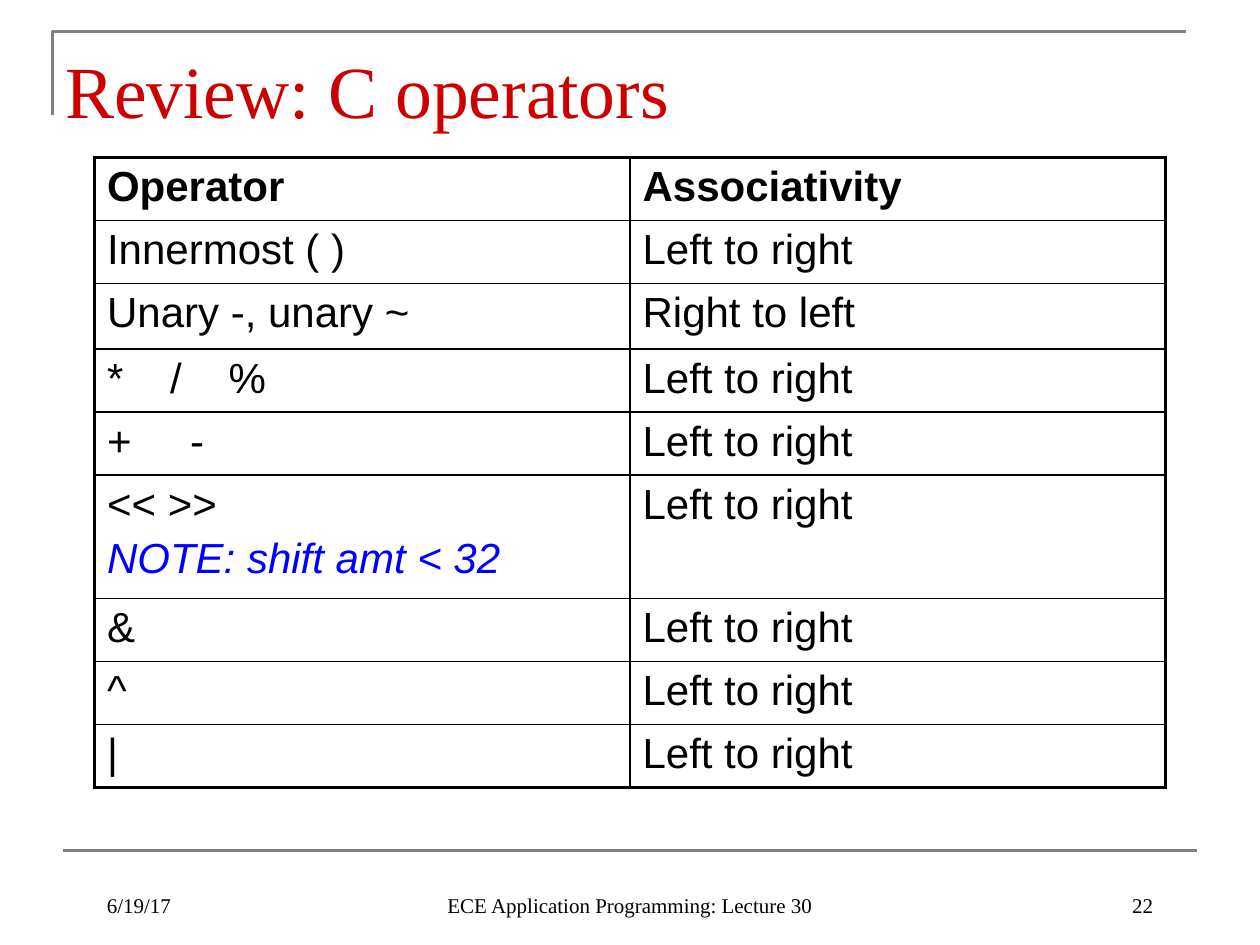
from dataclasses import dataclass

from lxml import etree
from pptx import Presentation
from pptx.dml.color import RGBColor
from pptx.enum.shapes import MSO_CONNECTOR
from pptx.enum.text import MSO_ANCHOR, MSO_AUTO_SIZE, PP_ALIGN
from pptx.oxml.ns import qn
from pptx.util import Pt

RED = RGBColor(0xCC, 0x00, 0x00)
BLUE = RGBColor(0x00, 0x00, 0xFF)
BLACK = RGBColor(0x00, 0x00, 0x00)
GRAY = RGBColor(0x80, 0x80, 0x80)

LEFT, CENTER, RIGHT = PP_ALIGN.LEFT, PP_ALIGN.CENTER, PP_ALIGN.RIGHT
MIDDLE, BOTTOM = MSO_ANCHOR.MIDDLE, MSO_ANCHOR.BOTTOM
NO_FIT = MSO_AUTO_SIZE.NONE
STRAIGHT = MSO_CONNECTOR.STRAIGHT

TITLE_FONT = {"name": "Times New Roman", "size": Pt(42)}
FOOTER_FONT = {"name": "Times New Roman", "size": Pt(12)}
CELL_FONT = {"name": "Arial", "size": Pt(24), "bold": False}
HEADER_FONT = CELL_FONT | {"bold": True}
NOTE_FONT = CELL_FONT | {"italic": True}

OUTER_BORDER, INNER_BORDER = Pt(2.25), Pt(1)
TABLE_LEFT, TABLE_TOP, COLUMN_WIDTH = 54, 90, 306


@dataclass
class OperatorRow:
    operator: str
    associativity: str = "Left to right"
    height: float = 36
    tabs: tuple[float, ...] = ()
    note: str = ""


@dataclass
class Footer:
    text: str
    left: float
    width: float
    align: PP_ALIGN


ROWS = [
    OperatorRow("Operator", "Associativity"),
    OperatorRow("Innermost ( )"),
    OperatorRow("Unary -, unary ~", "Right to left", height=37.44),
    OperatorRow("*\t/\t%", tabs=(36, 69.4)),
    OperatorRow("+\t-", tabs=(47.4,)),
    OperatorRow("<< >>", height=70.56, note="NOTE: shift amt < 32"),
    OperatorRow("&"),
    OperatorRow("^"),
    OperatorRow("|"),
]

FOOTERS = [
    Footer("22", 516, 150, RIGHT),
    Footer("6/19/17", 54, 150, LEFT),
    Footer("ECE Application Programming: Lecture 30", 246, 228, CENTER),
]


def set_attributes(target, values: dict) -> None:
    for name, value in values.items():
        setattr(target, name, value)


def write(para, text: str, font: dict, color: RGBColor = BLACK) -> None:
    span = para.add_run()
    span.text = text
    set_attributes(span.font, font)
    span.font.color.rgb = color


def add_tabs(para, positions: tuple[float, ...]) -> None:
    tab_list = etree.SubElement(para._p.get_or_add_pPr(), qn("a:tabLst"))
    for position in positions:
        etree.SubElement(tab_list, qn("a:tab"), pos=str(Pt(position)), algn="l")


def set_borders(cell, widths: dict[str, int]) -> None:
    properties = cell._tc.get_or_add_tcPr()
    for side, width in widths.items():
        line = etree.SubElement(properties, qn(f"a:ln{side}"), w=str(width))
        fill = etree.SubElement(line, qn("a:solidFill"))
        etree.SubElement(fill, qn("a:srgbClr"), val=str(BLACK))


def add_rules(slide) -> None:
    builder = slide.shapes.build_freeform(Pt(30), Pt(66))
    builder.add_line_segments([(Pt(30), Pt(18)), (Pt(678), Pt(18))], close=False)
    corner = builder.convert_to_shape()
    corner.shadow.inherit = False
    corner.fill.background()

    bottom = slide.shapes.add_connector(STRAIGHT, Pt(36), Pt(486), Pt(684), Pt(486))
    etree.SubElement(bottom._element.spPr, qn("a:effectLst"))
    for rule in (corner, bottom):
        rule.line.width = Pt(1.5)
        rule.line.color.rgb = GRAY


def add_title(slide, text: str) -> None:
    title = slide.shapes.title
    set_attributes(title, {"left": Pt(30), "top": Pt(18),
                           "width": Pt(612), "height": Pt(66)})
    set_attributes(title.text_frame, {"vertical_anchor": MIDDLE, "auto_size": NO_FIT})
    para = title.text_frame.paragraphs[0]
    para.alignment = LEFT
    write(para, text, TITLE_FONT, RED)


def add_operator_table(slide, rows: list[OperatorRow]) -> None:
    frame = slide.shapes.add_table(
        len(rows), 2, Pt(TABLE_LEFT), Pt(TABLE_TOP),
        Pt(2 * COLUMN_WIDTH), Pt(sum(row.height for row in rows)))
    table = frame.table
    set_attributes(table, {"first_row": False, "horz_banding": False})
    for column in table.columns:
        column.width = Pt(COLUMN_WIDTH)

    last = len(rows) - 1
    for index, row in enumerate(rows):
        table.rows[index].height = Pt(row.height)
        font = HEADER_FONT if index == 0 else CELL_FONT
        for column, text in enumerate((row.operator, row.associativity)):
            cell = table.cell(index, column)
            outer = {"L": column == 0, "R": column == 1,
                     "T": index == 0, "B": index == last}
            set_borders(cell, {side: OUTER_BORDER if edge else INNER_BORDER
                               for side, edge in outer.items()})
            cell.fill.background()
            para = cell.text_frame.paragraphs[0]
            if column == 0 and row.tabs:
                add_tabs(para, row.tabs)
            write(para, text, font)
        if row.note:
            para = table.cell(index, 0).text_frame.add_paragraph()
            para.space_before = Pt(4)
            write(para, row.note, NOTE_FONT, BLUE)


def add_footer(slide, footer: Footer) -> None:
    box = slide.shapes.add_textbox(Pt(footer.left), Pt(492), Pt(footer.width), Pt(36))
    set_attributes(box.text_frame, {"word_wrap": True, "vertical_anchor": BOTTOM})
    para = box.text_frame.paragraphs[0]
    para.alignment = footer.align
    write(para, footer.text, FOOTER_FONT)


def main() -> None:
    deck = Presentation()
    deck.slide_width, deck.slide_height = Pt(720), Pt(540)
    slide = deck.slides.add_slide(deck.slide_layouts.get_by_name("Title Only"))

    # Frame lines and title
    add_rules(slide)
    add_title(slide, "Review: C operators")

    # Operators and their associativity
    add_operator_table(slide, ROWS)

    # Page number, date and lecture name
    for footer in FOOTERS:
        add_footer(slide, footer)

    deck.save("out.pptx")


if __name__ == "__main__":
    main()
